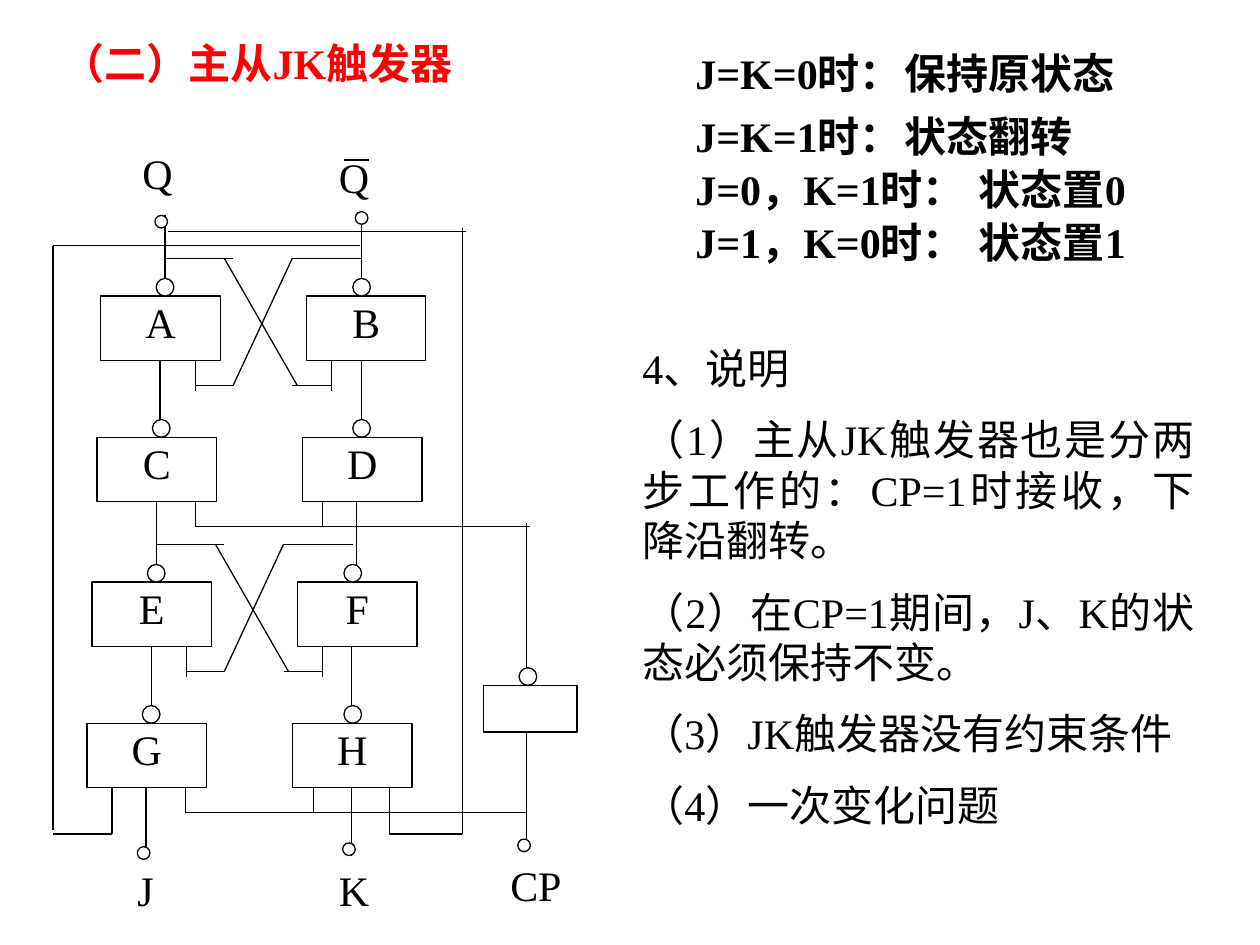
import itertools

import pptx
import pptx.dml.color
import pptx.enum.shapes
import pptx.enum.text
import pptx.oxml.ns
import pptx.util

COLORS = {"title": "FF0000", "ink": "000000", "paper": "FFFFFF"}
FONT = {"name": "Times New Roman", "size": pptx.util.Pt(24)}
ALIGN = pptx.enum.text.PP_ALIGN
SHAPE = pptx.enum.shapes.MSO_SHAPE

# The slide is a grid of 100 columns by 75 rows of square cells
COLUMNS, ROWS = 100, 75
CELL = pptx.util.Inches(0.1)
PARAGRAPH_GAP = pptx.util.Pt(12)

# Gate grid inside the circuit box
GATE_WIDTH, GATE_HEIGHT, PAIR_PITCH = 9.5, 5.1, 16.3
BUBBLE, TERMINAL = 1.4, 1
STEM_LENGTH = 5.4
# Names, left gate corner, right bubble, right stem
GATE_PAIRS = [
    ("AB", 4, 12.5, 24, 24.7),
    ("CD", 3.7, 23.7, 24, 24.3),
    ("EF", 3.3, 35.2, 23.3, 23.9),
    ("GH", 2.9, 46.4, 23.3, 23.9),
]


def cells(*values):
    return [round(value * CELL) for value in values]


def color(name):
    return pptx.dml.color.RGBColor.from_string(COLORS[name])


def set_all(target, formats):
    for name, value in formats.items():
        setattr(target, name, value)


def write_text(shape, lines, frame_format, paragraph_format, ink="ink", bold=False):
    frame = shape.text_frame
    set_all(frame, {"word_wrap": True, **frame_format})
    for index, line in enumerate(lines):
        paragraph = frame.paragraphs[0] if index == 0 else frame.add_paragraph()
        set_all(paragraph, paragraph_format)
        run = paragraph.add_run()
        run.text = line
        set_all(run.font, {**FONT, "bold": bold})
        run.font.color.rgb = color(ink)


def add_text(slide, box, lines, align=ALIGN.LEFT, **style):
    shape = slide.shapes.add_textbox(*cells(*box))
    frame_format = {"auto_size": pptx.enum.text.MSO_AUTO_SIZE.SHAPE_TO_FIT_TEXT}
    paragraph_format = {"alignment": align, "space_before": PARAGRAPH_GAP}
    write_text(shape, lines, frame_format, paragraph_format, **style)


def add_block(slide, kind, box, text="", outlined=True, inset=1, align=ALIGN.CENTER):
    shape = slide.shapes.add_shape(kind, *cells(*box))
    shape.shadow.inherit = False
    shape.fill.solid()
    shape.fill.fore_color.rgb = color("paper")
    if outlined:
        shape.line.color.rgb = color("ink")
        shape.line.width = pptx.util.Pt(0.75)
    else:
        shape.line.fill.background()
    if text:
        side = cells(inset)[0]
        frame_format = {
            "margin_left": side, "margin_right": side,
            "margin_top": 0, "margin_bottom": 0,
            "vertical_anchor": pptx.enum.text.MSO_ANCHOR.TOP,
        }
        write_text(shape, [text], frame_format, {"alignment": align})


def add_wire(slide, origin, *points):
    left, top = origin
    for (x1, y1), (x2, y2) in itertools.pairwise(points):
        line = slide.shapes.add_connector(
            pptx.enum.shapes.MSO_CONNECTOR.STRAIGHT,
            *cells(left + x1, top + y1, left + x2, top + y2))
        line.line.color.rgb = color("ink")
        line.line.width = pptx.util.Pt(0.75)
        properties = line._element.spPr
        properties.append(properties.makeelement(pptx.oxml.ns.qn("a:effectLst"), {}))


def add_cross_coupling(slide, gate_corner):
    """Wire the two outputs of a latch back to the opposite inputs."""
    tap, feed = -3, 7.1
    for points in [
        [(5.1, tap), (10.5, tap)],
        [(20.7, tap), (15.2, tap), (10.5, feed), (7.5, feed)],
        [(9.8, tap), (15.6, feed)],
        [(18.3, feed), (15.2, feed)],
        [(7.5, GATE_HEIGHT), (7.5, 7.5)],
        [(18.3, GATE_HEIGHT), (18.3, 7.5)],
    ]:
        add_wire(slide, gate_corner, *points)


def add_gates(slide, left, top):
    for names, x, y, right_bubble, right_stem in GATE_PAIRS:
        bottom = y + GATE_HEIGHT
        sides = [(x, x + 4.4, x + 4.7), (x + PAIR_PITCH, right_bubble, right_stem)]
        for name, (gate, bubble, stem) in zip(names, sides):
            add_wire(slide, (left, top), (stem, bottom), (stem, bottom + STEM_LENGTH))
            add_block(slide, SHAPE.RECTANGLE,
                      (left + gate, top + y, GATE_WIDTH, GATE_HEIGHT), name)
            add_block(slide, SHAPE.OVAL,
                      (left + bubble, top + y - BUBBLE, BUBBLE, BUBBLE))


def add_circuit(slide, box):
    left, top, width, height = box

    # Terminal names
    for name, x, y, label_width in [
        ("Q", 7.3, 0.7, 3.7), ("Q", 22.9, 1, 3.7),
        ("J", 6.9, 57.6, 3.7), ("K", 22.9, 57.6, 3.7), ("CP", 36.5, 57.2, 4.7),
    ]:
        add_block(slide, SHAPE.RECTANGLE, (left + x, top + y, label_width, 4.7),
                  name, outlined=False, inset=0, align=ALIGN.JUSTIFY)

    # Overbar, outputs, feedback loops and clock wiring
    for points in [
        [(23.3, 1.7), (25.3, 1.7)],
        [(9.1, 6.1), (9.1, 11.2)],
        [(24.7, 6.1), (24.7, 11.2)],
        [(4.9, 51.5), (4.9, 55.2), (0.2, 55.2)],
        [(0.2, 54.9), (0.2, 8.5), (24.6, 8.5)],
        [(9.3, 7.4), (33, 7.4)],
        [(32.7, 7.1), (32.7, 55.2), (26.9, 55.2), (26.9, 51.5)],
        [(11.5, 28.8), (11.5, 30.8), (38.1, 30.8)],
        [(21.6, 30.8), (21.6, 28.8)],
        [(10.7, 51.4), (10.7, 53.5), (37.8, 53.5)],
        [(20.9, 53.5), (20.9, 51.4)],
        [(37.8, 30.5), (37.8, 42.4)],
        [(37.8, 47.1), (37.8, 55.9)],
    ]:
        add_wire(slide, (left, top), *points)
    for _, x, y, *_ in GATE_PAIRS[::2]:
        add_cross_coupling(slide, (left + x, top + y))

    # Gates and clock inverter
    add_gates(slide, left, top)
    add_block(slide, SHAPE.OVAL, (left + 37.2, top + 42, BUBBLE, BUBBLE))
    add_block(slide, SHAPE.RECTANGLE, (left + 34.4, top + 43.4, 7.4, 3.7))

    # Terminals
    for x, y in [(8.3, 6.1), (24.2, 5.8), (6.9, 56.2), (23.2, 55.9), (37.1, 55.6)]:
        add_block(slide, SHAPE.OVAL, (left + x, top + y, TERMINAL, TERMINAL))


def add_states(slide, box):
    left, top, width, height = box
    for condition, result, row, column, result_width in [
        ("J=K=0时：", "保持原状态", 0, 16.6, 23.1),
        ("J=K=1时：", "状态翻转", 5, 16.6, 23.1),
        ("J=0，K=1时：", "状态置0", 9.2, 22.5, 15.8),
        ("J=1，K=0时：", "状态置1", 13.4, 22.5, 15.8),
    ]:
        add_text(slide, (left, top + row, 23.1, 5), [condition], bold=True)
        add_text(slide, (left + column, top + row, result_width, 5), [result], bold=True)


def add_notes_text(slide, box):
    add_text(slide, box, [
        "4、说明",
        "（1）主从JK触发器也是分两步工作的：CP=1时接收，下降沿翻转。",
        "（2）在CP=1期间，J、K的状态必须保持不变。",
        "（3）JK触发器没有约束条件",
        "（4）一次变化问题",
    ], align=ALIGN.JUSTIFY)


def main():
    presentation = pptx.Presentation()
    presentation.slide_width, presentation.slide_height = cells(COLUMNS, ROWS)
    slide = presentation.slides.add_slide(presentation.slide_layouts[6])
    add_text(slide, (4, 2.5, 36, 5), ["（二）主从JK触发器"], ink="title", bold=True)
    add_notes_text(slide, (50, 26.7, 45.8, 41.4))
    add_circuit(slide, (4, 11, 42, 63))
    add_states(slide, (54.2, 3.3, 40, 19))
    presentation.save("out.pptx")


if __name__ == "__main__":
    main()
